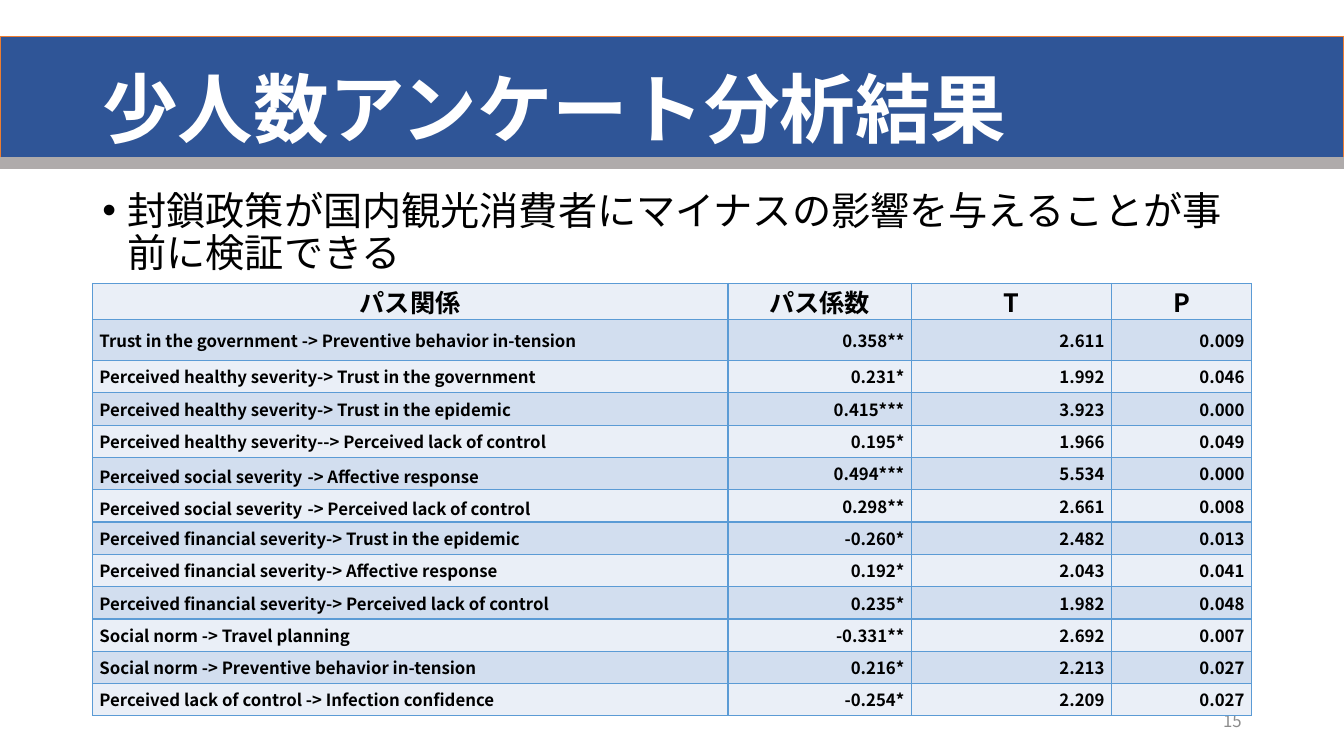
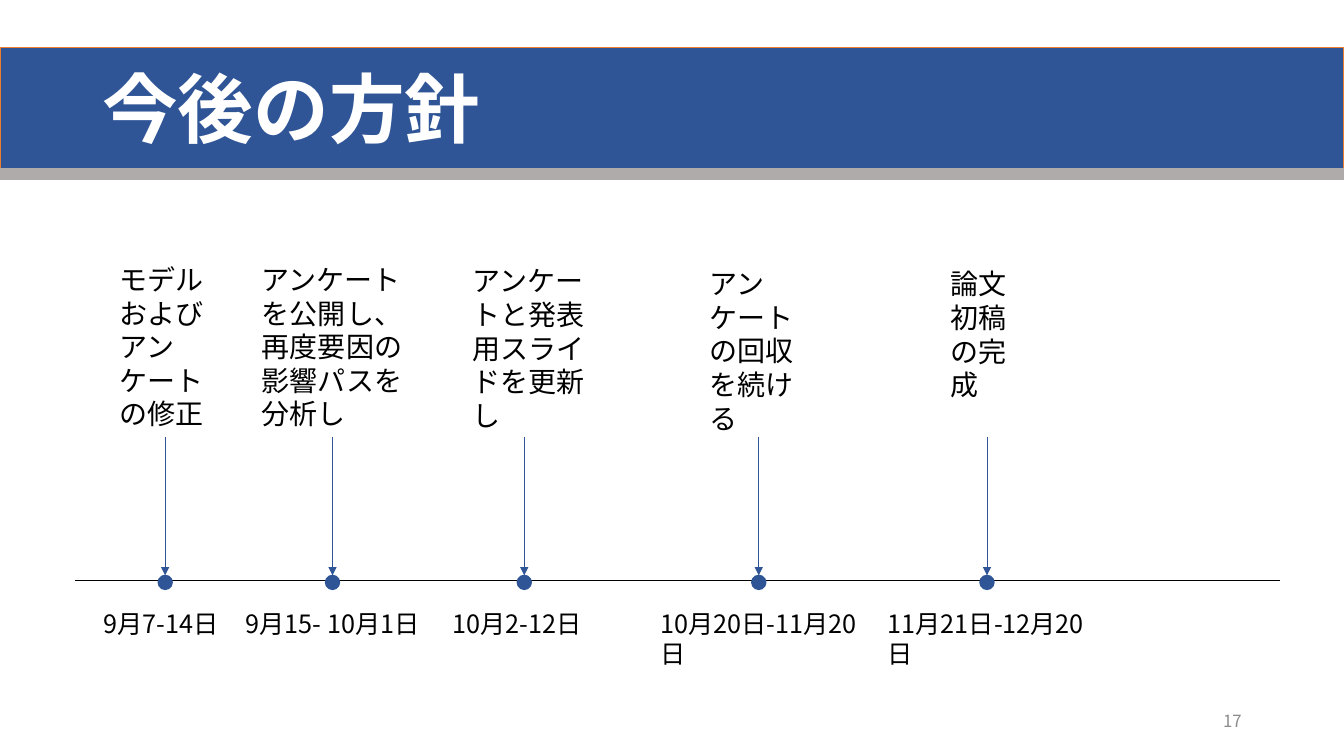
import pptx
import pptx.util
import pptx.dml.color
import pptx.enum.dml
import pptx.enum.lang
import pptx.enum.shapes
import pptx.enum.text
import pptx.oxml
import pptx.oxml.ns

Pt = pptx.util.Pt
RGB = pptx.dml.color.RGBColor
ALIGN = pptx.enum.text.PP_ALIGN
MIDDLE = pptx.enum.text.MSO_ANCHOR.MIDDLE
SHAPE = pptx.enum.shapes.MSO_SHAPE
STRAIGHT = pptx.enum.shapes.MSO_CONNECTOR.STRAIGHT

FONT = "Noto Sans CJK JP"
BLUE = RGB(0x2F, 0x55, 0x97)
ORANGE = RGB(0xED, 0x7D, 0x31)
GRAY = RGB(0xAF, 0xAB, 0xAB)
PALE = RGB(0xEA, 0xEF, 0xF7)
LIGHT = RGB(0xD2, 0xDE, 0xEF)
EDGE = RGB(0x5B, 0x9B, 0xD5)
NUMBER = RGB(0x8C, 0x8C, 0x8C)
BLACK = RGB(0, 0, 0)
WHITE = RGB(255, 255, 255)

WIDE, HIGH = 960, 540
LEFT, SPAN = 66, 828

HEADS = ("パス関係", "パス係数", "T", "P")
COLS = (454, 131, 143, 100)
SOCIAL = ("Perceived social severity", " ")
ROWS = (
    ("Trust in the government -> Preventive behavior in-tension", "0.358**", "2.611", "0.009"),
    ("Perceived healthy severity-> Trust in the government", "0.231*", "1.992", "0.046"),
    ("Perceived healthy severity-> Trust in the epidemic", "0.415***", "3.923", "0.000"),
    ("Perceived healthy severity--> Perceived lack of control", "0.195*", "1.966", "0.049"),
    (SOCIAL + ("-> Affective response",), "0.494***", "5.534", "0.000"),
    (SOCIAL + ("-> Perceived lack of control",), "0.298**", "2.661", "0.008"),
    ("Perceived financial severity-> Trust in the epidemic", "-0.260*", "2.482", "0.013"),
    ("Perceived financial severity-> Affective response", "0.192*", "2.043", "0.041"),
    ("Perceived financial severity-> Perceived lack of control", "0.235*", "1.982", "0.048"),
    ("Social norm -> Travel planning", "-0.331**", "2.692", "0.007"),
    ("Social norm -> Preventive behavior in-tension", "0.216*", "2.213", "0.027"),
    ("Perceived lack of control -> Infection confidence", "-0.254*", "2.209", "0.027"),
)

# Dot centre, then task text and its box, then date text with left and width
STEPS = (
    (118, "モデルおよびアンケートの修正", (78.5, 184, 79, 128), "9月7-14日", 67, 101.5),
    (237.5, "アンケートを公開し、再度要因の影響パスを分析し", (180, 184, 115, 128),
     "9月15- 10月1日", 168.5, 153.5),
    (374.5, "アンケートと発表用スライドを更新し", (330.5, 185, 98, 128), "10月2-12日", 316, 116.5),
    (542, "アンケートの回収を続ける", (499.5, 187, 75, 128), "10月20日-11月20日", 464.5, 155.5),
    (705, "論文初稿の完成", (672, 187, 65, 104), "11月21日-12月20日", 627, 155.5),
)
AXIS, DOT, START = 414.5, 10, 312


def node(parent, tag, **attrs):
    item = pptx.oxml.ns.qn(tag)
    child = parent.makeelement(item, attrs)
    parent.append(child)
    return child


def style(run, size, color=BLACK, bold=False):
    font = run.font
    font.name, font.size, font.bold = FONT, Pt(size), bold
    font.color.rgb = color
    font.language_id = pptx.enum.lang.MSO_LANGUAGE_ID.JAPANESE
    node(run._r.get_or_add_rPr(), "a:ea", typeface=FONT)


def write(slide, text, box, size, color=BLACK, bold=False):
    """Add a wrapped text box and return its shape."""
    shape = slide.shapes.add_textbox(*map(Pt, box))
    frame = shape.text_frame
    frame.word_wrap = True
    frame.text = text
    style(frame.paragraphs[0].runs[0], size, color, bold)
    return shape


def block(slide, kind, box, fill, line):
    shape = slide.shapes.add_shape(kind, *map(Pt, box))
    shape.shadow.inherit = False
    shape.fill.solid()
    shape.fill.fore_color.rgb = fill
    shape.line.color.rgb = line
    shape.line.width = Pt(1)
    return shape


def rule(slide, ends, color):
    line = slide.shapes.add_connector(STRAIGHT, *map(Pt, ends))
    line.line.color.rgb = color
    line.line.width = Pt(0.5)
    node(line._element.spPr, "a:effectLst")
    return line


def frame(deck, title, page, top):
    """Start a slide with the shared band, title and page number."""
    slide = deck.slides.add_slide(deck.slide_layouts[6])
    band = 86.4
    block(slide, SHAPE.RECTANGLE, (0, top, WIDE, band), BLUE, ORANGE)
    block(slide, SHAPE.RECTANGLE, (0, top + band, WIDE, 8), GRAY, GRAY)
    head = write(slide, title, (LEFT, 29, SPAN, 104), 54, WHITE, True).text_frame
    head.vertical_anchor = MIDDLE
    head.paragraphs[0].line_spacing = 0.9
    foot = write(slide, page, (678, 500.5, 216, 29), 12, NUMBER).text_frame
    foot.vertical_anchor = MIDDLE
    foot.paragraphs[0].alignment = ALIGN.RIGHT
    return slide


def point(slide, text):
    """Add the bulleted statement under the title."""
    para = write(slide, text, (LEFT, 133, SPAN, 73.5), 28).text_frame.paragraphs[0]
    para.line_spacing = 0.9
    para.space_before = Pt(10)
    props = para._p.get_or_add_pPr()
    props.set("marL", str(Pt(18)))
    props.set("indent", str(-Pt(18)))
    node(props, "a:buFont", typeface="Arial")
    node(props, "a:buChar", char="•")


def fill(cell, parts, size, align, color):
    """Write a cell from one text or several runs, with borders and fill."""
    cell.margin_left = cell.margin_right = Pt(5)
    cell.margin_top = cell.margin_bottom = 0
    cell.vertical_anchor = MIDDLE
    para = cell.text_frame.paragraphs[0]
    para.alignment = align
    for part in (parts,) if isinstance(parts, str) else parts:
        run = para.add_run()
        run.text = part
        style(run, 16 if part == " " else size, BLACK, True)
    props = cell._tc.get_or_add_tcPr()
    for side in "LRTB":
        line = node(props, "a:ln" + side, w=str(Pt(1)))
        node(node(line, "a:solidFill"), "a:srgbClr", val=str(EDGE))
    cell.fill.solid()
    cell.fill.fore_color.rgb = color


def table(slide):
    count = len(ROWS) + 1
    box = (LEFT, 202.5, SPAN, 306)
    grid = slide.shapes.add_table(count, len(COLS), *map(Pt, box)).table
    for col, width in zip(grid.columns, COLS):
        col.width = Pt(width)
    for i, texts in enumerate((HEADS,) + ROWS):
        grid.rows[i].height = Pt({0: 26, 1: 29}.get(i, 23.1))
        for j, text in enumerate(texts):
            align = ALIGN.CENTER if i == 0 else ALIGN.RIGHT if j else ALIGN.LEFT
            fill(grid.cell(i, j), text, 12 if i else 18, align, LIGHT if i % 2 else PALE)


def step(slide, x, task, box, date, left, width):
    """Add one milestone: task, arrow, dot and date."""
    label = write(slide, task, box, 20)
    write(slide, date, (left, 431, width, 51), 18)
    top = 411
    dot = block(slide, SHAPE.OVAL, (x - DOT / 2, top, DOT, DOT), BLUE, BLUE)
    arrow = rule(slide, (x, START, x, top), BLUE)
    if (box[0] + box[2] / 2, box[1] + box[3]) == (x, START):
        arrow.begin_connect(label, 2)
    arrow.end_connect(dot, 0)
    node(arrow.line._get_or_add_ln(), "a:tailEnd", type="triangle")


def main():
    deck = pptx.Presentation()
    deck.slide_width, deck.slide_height = Pt(WIDE), Pt(HIGH)

    slide = frame(deck, "少人数アンケート分析結果", "15", 26)
    point(slide, "封鎖政策が国内観光消費者にマイナスの影響を与えることが事前に検証できる")
    table(slide)

    slide = frame(deck, "今後の方針", "17", 34)
    rule(slide, (53.5, AXIS, 914.5, AXIS), BLACK)
    for item in STEPS:
        step(slide, *item)

    deck.save("out.pptx")


if __name__ == "__main__":
    main()
